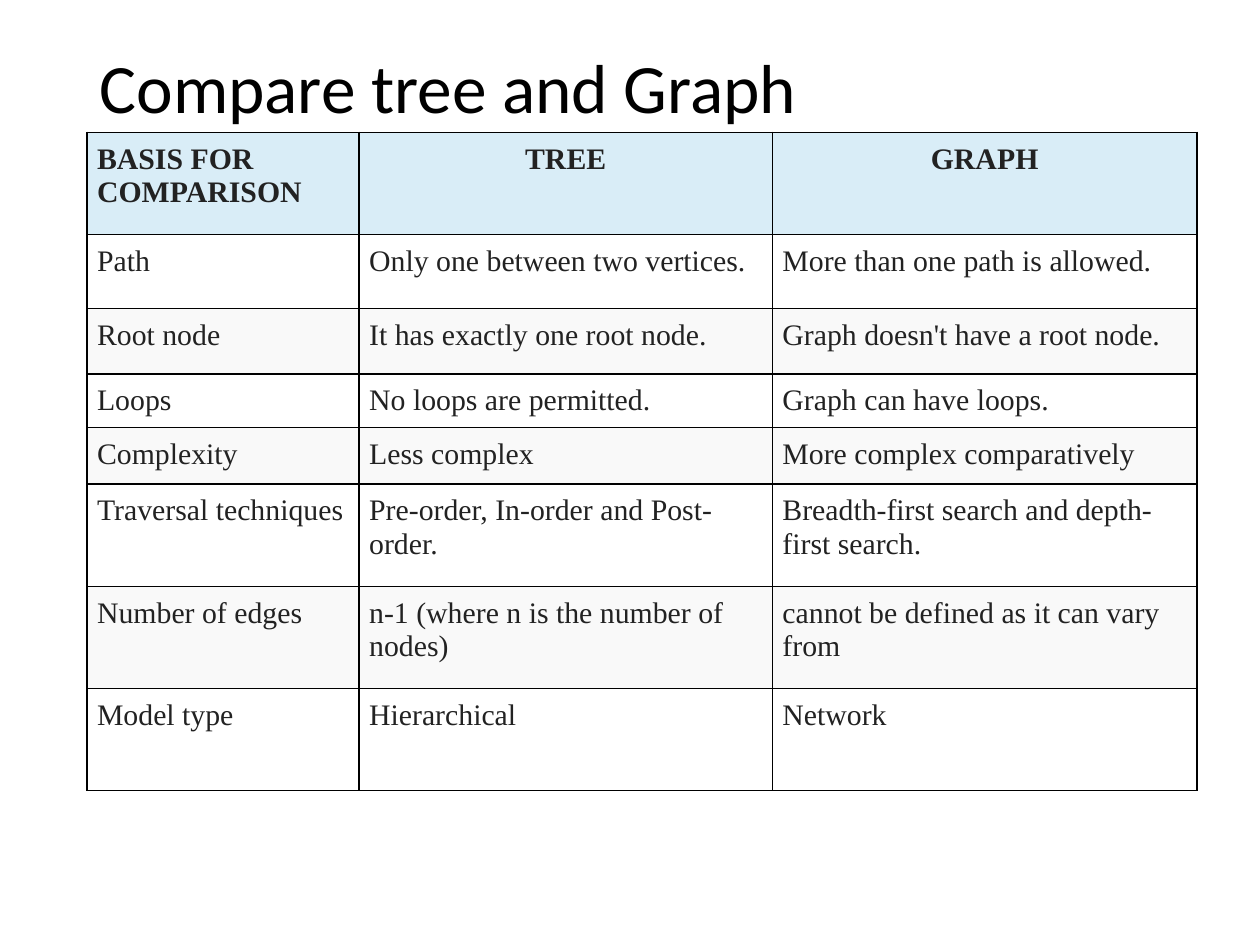
from dataclasses import dataclass

from lxml import etree
from pptx import Presentation
from pptx.dml.color import RGBColor
from pptx.enum.text import MSO_ANCHOR, MSO_AUTO_SIZE, PP_ALIGN
from pptx.oxml.ns import qn
from pptx.util import Inches, Pt

LEFT, CENTER = PP_ALIGN.LEFT, PP_ALIGN.CENTER
TOP, MIDDLE = MSO_ANCHOR.TOP, MSO_ANCHOR.MIDDLE
NO_AUTOFIT = MSO_AUTO_SIZE.NONE
TITLE_ONLY = 5


@dataclass(frozen=True)
class Theme:
    title_font: str = "Calibri"
    table_font: str = "Times New Roman"
    title_size: float = 39.6
    table_size: float = 17
    title_color: str = "000000"
    text_color: str = "222222"
    border_color: str = "000000"
    border_width: float = 1
    header_fill: str = "D9EDF7"
    row_fills: tuple = ("FFFFFF", "F9F9F9")
    cell_margin: float = 0.08


THEME = Theme()
SLIDE_W, SLIDE_H = 10, 7.5
MARGIN = 0.069 * SLIDE_W
TITLE_BOX = (MARGIN, 0.4, SLIDE_W - 2 * MARGIN, 0.65)
TABLE_BOX = (MARGIN, 0.14 * SLIDE_H, 8.81, 5.15)
COLUMNS = (2.16, 3.28, 3.37)
ROWS = (0.81, 0.59, 0.52, 0.35, 0.45, 0.81, 0.81, 0.81)

COMPARISON = [
    ("BASIS FOR COMPARISON", "TREE", "GRAPH"),
    ("Path", "Only one between two vertices.", "More than one path is allowed."),
    ("Root node", "It has exactly one root node.", "Graph doesn't have a root node."),
    ("Loops", "No loops are permitted.", "Graph can have loops."),
    ("Complexity", "Less complex", "More complex comparatively"),
    ("Traversal techniques", "Pre-order, In-order and Post-order.",
     "Breadth-first search and depth-first search."),
    ("Number of edges", "n-1 (where n is the number of nodes)",
     "cannot be defined as it can vary from"),
    ("Model type", "Hierarchical", "Network"),
]


def write_text(tf, text, font, size, color, bold=False, align=LEFT, spacing=None):
    p = tf.paragraphs[0]
    p.alignment = align
    if spacing:
        p.line_spacing = spacing
    r = p.add_run()
    r.text = text
    r.font.name = font
    r.font.size = Pt(size)
    r.font.bold = bold
    r.font.color.rgb = RGBColor.from_string(color)


def add_borders(cell):
    tc_pr = cell._tc.get_or_add_tcPr()
    for side in ("lnL", "lnR", "lnT", "lnB"):
        ln = etree.SubElement(tc_pr, qn(f"a:{side}"), w=str(Pt(THEME.border_width)))
        fill = etree.SubElement(ln, qn("a:solidFill"))
        etree.SubElement(fill, qn("a:srgbClr"), val=THEME.border_color)


def add_title(s, box, text):
    sp = s.shapes.title
    sp.left, sp.top, sp.width, sp.height = map(Inches, box)
    tf = sp.text_frame
    tf.auto_size = NO_AUTOFIT
    tf.word_wrap = True
    tf.vertical_anchor = MIDDLE
    write_text(tf, text, THEME.title_font, THEME.title_size, THEME.title_color,
               spacing=0.9)


def format_cell(cell, text, fill, bold, align):
    margin = Inches(THEME.cell_margin)
    cell.margin_left = cell.margin_right = margin
    cell.margin_top = cell.margin_bottom = margin
    cell.vertical_anchor = TOP
    add_borders(cell)
    cell.fill.solid()
    cell.fill.fore_color.rgb = RGBColor.from_string(fill)
    write_text(cell.text_frame, text, THEME.table_font, THEME.table_size,
               THEME.text_color, bold=bold, align=align)


def add_comparison_table(s, box, data):
    left, top, width, height = box
    table = s.shapes.add_table(len(data), len(data[0]), *map(Inches, box)).table

    # Column and row sizes as shares of the box
    for column, share in zip(table.columns, COLUMNS):
        column.width = Inches(width * share / sum(COLUMNS))
    for row, share in zip(table.rows, ROWS):
        row.height = Inches(height * share / sum(ROWS))

    # Header row, then alternating body rows
    for i, texts in enumerate(data):
        header = i == 0
        fill = THEME.header_fill if header else THEME.row_fills[(i - 1) % 2]
        for j, text in enumerate(texts):
            align = CENTER if header and j > 0 else LEFT
            format_cell(table.cell(i, j), text, fill, header, align)


def main():
    prs = Presentation()
    prs.slide_width, prs.slide_height = Inches(SLIDE_W), Inches(SLIDE_H)
    s = prs.slides.add_slide(prs.slide_layouts[TITLE_ONLY])
    add_title(s, TITLE_BOX, "Compare tree and Graph")
    add_comparison_table(s, TABLE_BOX, COMPARISON)
    prs.save("out.pptx")


if __name__ == "__main__":
    main()
